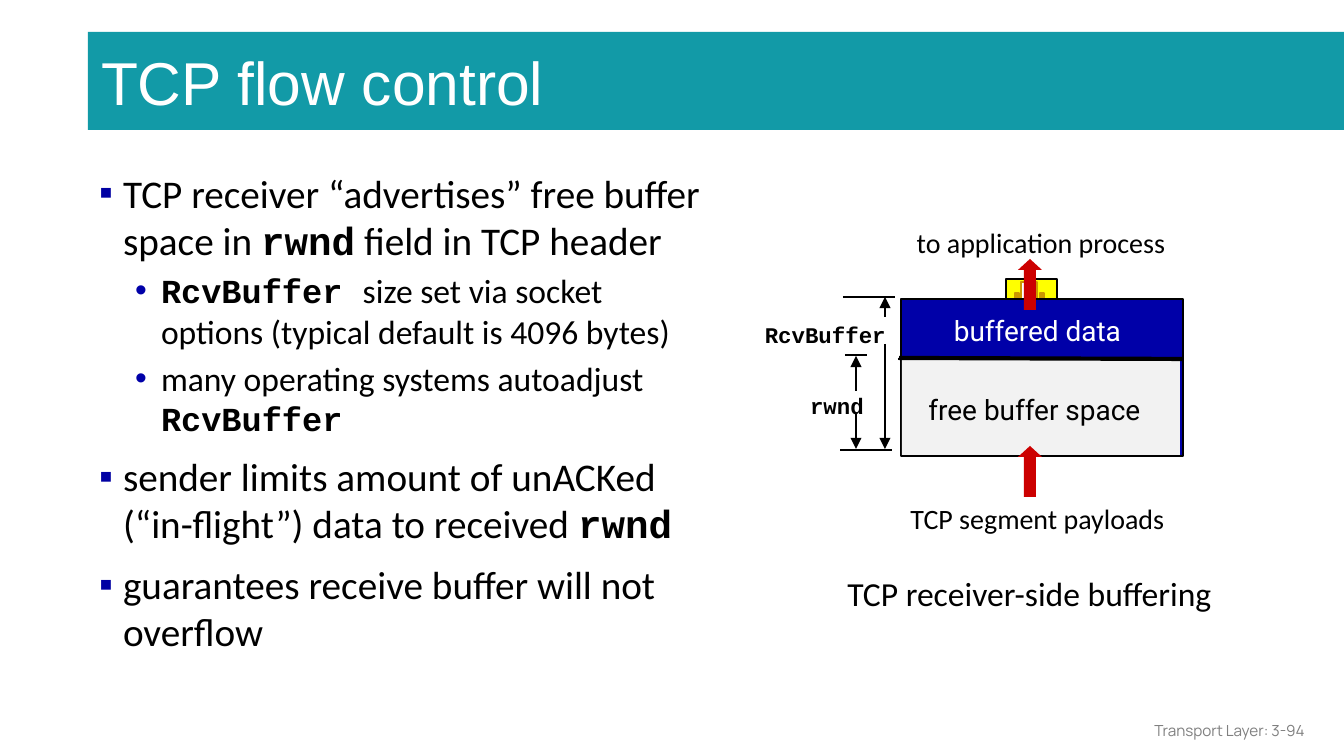
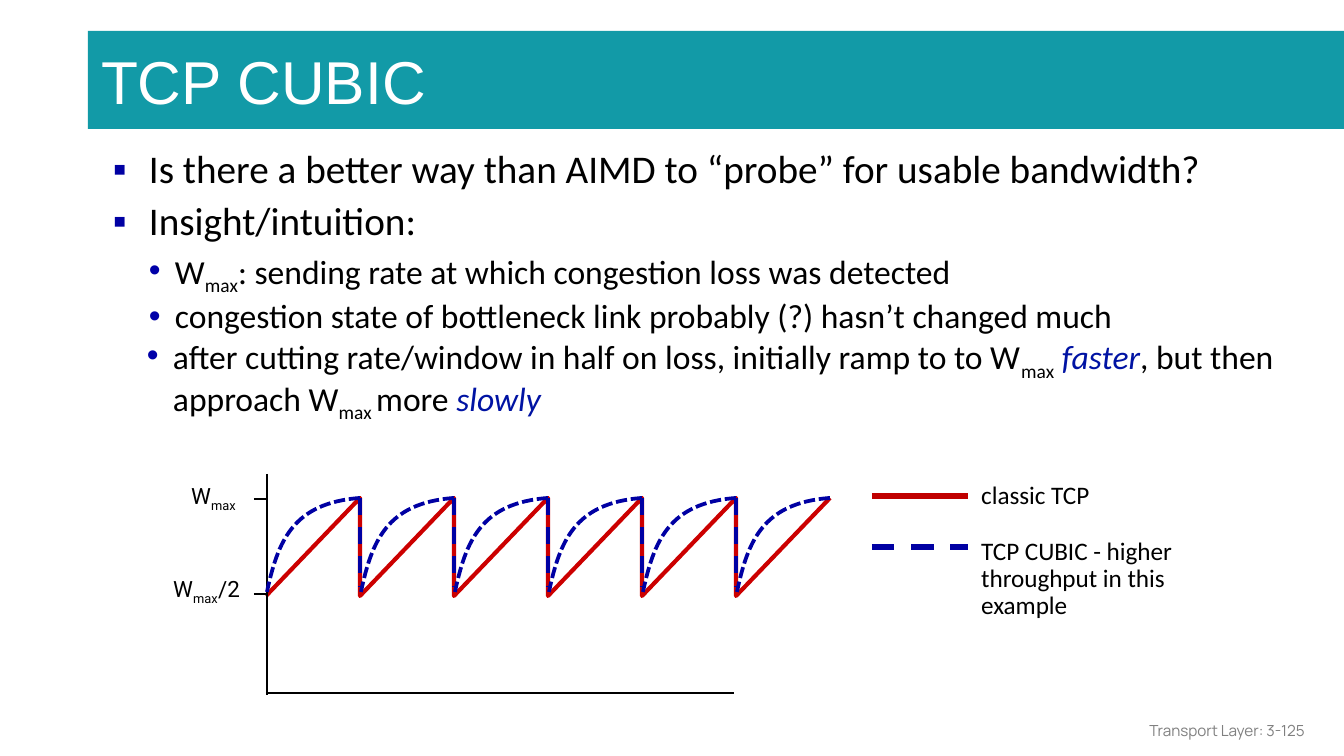
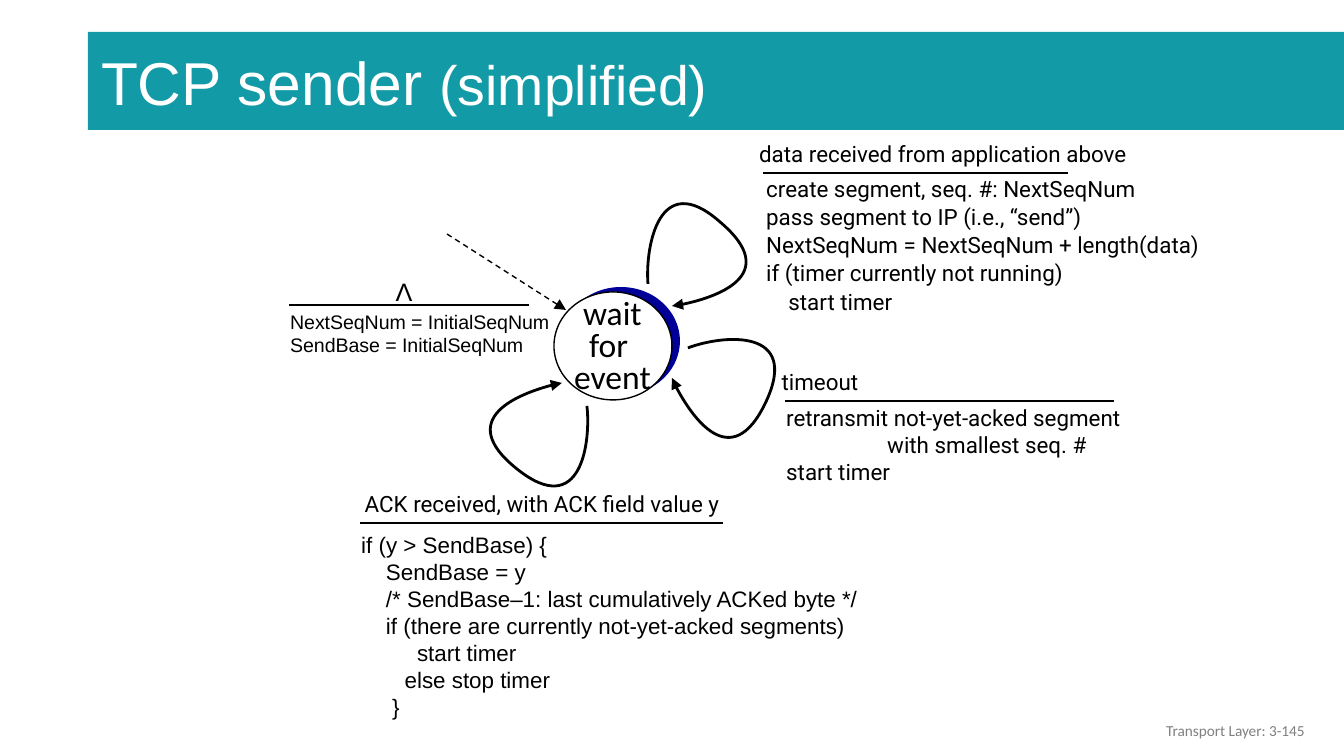
from dataclasses import dataclass, replace
from typing import NamedTuple, Optional

from lxml import etree
from pptx import Presentation
from pptx import util as u
from pptx.dml.color import RGBColor
from pptx.enum import dml, shapes, text
from pptx.oxml import ns

EMU_PER_PX = 914400 / 134.4

TEAL = RGBColor(0x12, 0x9A, 0xA7)
WHITE = RGBColor(0xFF, 0xFF, 0xFF)
BLACK = RGBColor(0x00, 0x00, 0x00)
GRAY = RGBColor(0x80, 0x80, 0x80)
PALE_GRAY = RGBColor(0xF2, 0xF2, 0xF2)
NAVY = RGBColor(0x00, 0x00, 0xA3)
BUFFER_BLUE = RGBColor(0x00, 0x00, 0xA8)
SHADE_BLUE = RGBColor(0x00, 0x00, 0x99)
EMPHASIS_BLUE = RGBColor(0x00, 0x13, 0xA3)
RED = RGBColor(0xCC, 0x00, 0x00)
LEGEND_RED = RGBColor(0xC0, 0x00, 0x00)
YELLOW = RGBColor(0xFF, 0xFF, 0x00)
GOLD = RGBColor(0xCC, 0x99, 0x00)

LEFT, CENTER, RIGHT = text.PP_ALIGN.LEFT, text.PP_ALIGN.CENTER, text.PP_ALIGN.RIGHT
DASH = dml.MSO_LINE.DASH
SHORT_DASH = dml.MSO_LINE.SQUARE_DOT
RECT = shapes.MSO_SHAPE.RECTANGLE
OVAL = shapes.MSO_SHAPE.OVAL
UP_ARROW = shapes.MSO_SHAPE.UP_ARROW


@dataclass(frozen=True)
class Style:
    font: str
    size: float
    color: RGBColor = BLACK
    bold: bool = False
    italic: bool = False
    subscript: bool = False


TITLE = Style("Arial", 32.4, WHITE)
POINT = Style("Calibri", 21)
DETAIL = Style("Calibri", 18)
LABEL = Style("Calibri", 15)
LEGEND = Style("Calibri", 13.5)
BUFFER = Style("Roboto", 15)
EVENT = Style("Roboto", 12)
CODE = Style("Arial", 12)
MONO = Style("Courier New", 12, bold=True)
POINT_MONO = replace(MONO, size=21)
DETAIL_MONO = replace(MONO, size=18)
DETAIL_SUB = replace(DETAIL, subscript=True)
EMPHASIS = replace(DETAIL, color=EMPHASIS_BLUE, italic=True)


class Run(NamedTuple):
    text: str
    style: Style


class Bullet(NamedTuple):
    char: str
    color: RGBColor
    left: int
    hang: int
    level: int
    before: float


SQUARE = Bullet("▪", NAVY, 39, 24, 0, 7.5)
WIDE_SQUARE = SQUARE._replace(left=51, hang=36)
DOT = Bullet("•", BUFFER_BLUE, 77, 26, 1, 3.8)


class Para(NamedTuple):
    runs: list[Run]
    bullet: Optional[Bullet] = None
    indent: int = 0


class Box(NamedTuple):
    left: int
    top: int
    width: int
    height: int


class Pen(NamedTuple):
    color: RGBColor = BLACK
    width: float = 0.75
    dash: Optional[dml.MSO_LINE] = None
    head: bool = False
    tail: bool = False


class Figure(NamedTuple):
    kind: shapes.MSO_SHAPE
    box: Box
    fill: RGBColor
    edge: Optional[RGBColor] = None


class Stroke(NamedTuple):
    start: tuple[int, int]
    end: tuple[int, int]
    pen: Pen = Pen()


class Label(NamedTuple):
    box: Box
    paras: list[Para]
    align: text.PP_ALIGN = LEFT
    spacing: float = 1.0
    wrap: bool = False


MEDIUM = Pen(width=1.5)
HEAD = Pen(head=True)
TAIL = Pen(tail=True)


def px(length: int) -> u.Emu:
    return u.Emu(round(length * EMU_PER_PX))


def lines(style: Style, *texts: str) -> list[Para]:
    """One single-run paragraph per text."""
    return [Para([Run(line, style)]) for line in texts]


def write(frame, paras: list[Para], align=LEFT, spacing: float = 1.0) -> None:
    for index, para in enumerate(paras):
        p = frame.paragraphs[0] if index == 0 else frame.add_paragraph()
        props = p._p.get_or_add_pPr()
        if para.indent:
            props.set("marL", str(px(para.indent)))
        if para.bullet:
            mark = para.bullet
            p.level = mark.level
            props.set("marL", str(px(mark.left)))
            props.set("indent", str(-px(mark.hang)))
            tint = etree.SubElement(props, ns.qn("a:buClr"))
            etree.SubElement(tint, ns.qn("a:srgbClr"), val=str(mark.color))
            etree.SubElement(props, ns.qn("a:buFont"), typeface="Arial")
            etree.SubElement(props, ns.qn("a:buChar"), char=mark.char)
            p.space_before = u.Pt(mark.before if index else 0)
        p.alignment = align
        p.line_spacing = spacing
        for wording, style in para.runs:
            run = p.add_run()
            run.text = wording
            run.font.name = style.font
            run.font.size = u.Pt(style.size)
            run.font.color.rgb = style.color
            run.font.bold = style.bold
            run.font.italic = style.italic
            if style.subscript:
                run._r.get_or_add_rPr().set("baseline", "-25000")


def set_margins(frame, side: int, end: int) -> None:
    frame.margin_left = frame.margin_right = px(side)
    frame.margin_top = frame.margin_bottom = px(end)


def add_label(slide, label: Label) -> None:
    frame = slide.shapes.add_textbox(*map(px, label.box)).text_frame
    frame.word_wrap = label.wrap
    frame.auto_size = text.MSO_AUTO_SIZE.SHAPE_TO_FIT_TEXT
    write(frame, label.paras, label.align, label.spacing)


def add_bullets(slide, box: Box, paras: list[Para], spacing: float = 1.0) -> None:
    frame = slide.shapes.add_textbox(*map(px, box)).text_frame
    frame.word_wrap = True
    set_margins(frame, 10, 5)
    write(frame, paras, spacing=spacing)


def add_figure(slide, figure: Figure):
    shape = slide.shapes.add_shape(figure.kind, *map(px, figure.box))
    shape.shadow.inherit = False
    shape.fill.solid()
    shape.fill.fore_color.rgb = figure.fill
    if figure.edge is None:
        shape.line.fill.background()
    else:
        shape.line.color.rgb = figure.edge
        shape.line.width = u.Pt(0.75)
    if figure.kind == UP_ARROW:
        shape.adjustments[1] = 0.46
    return shape


def apply_pen(line, pen: Pen) -> None:
    line.color.rgb = pen.color
    line.width = u.Pt(pen.width)
    if pen.dash is not None:
        line.dash_style = pen.dash
    for wanted, tag in ((pen.head, "a:headEnd"), (pen.tail, "a:tailEnd")):
        if wanted:
            etree.SubElement(line._get_or_add_ln(), ns.qn(tag), type="triangle")


def add_stroke(slide, stroke: Stroke) -> None:
    connector = slide.shapes.add_connector(
        shapes.MSO_CONNECTOR.STRAIGHT, *map(px, stroke.start + stroke.end))
    apply_pen(connector.line, stroke.pen)
    etree.SubElement(connector._element.spPr, ns.qn("a:effectLst"))


def add_outline(slide, points: list[tuple[int, int]], pen: Pen):
    vertices = [(px(x), px(y)) for x, y in points]
    builder = slide.shapes.build_freeform(*vertices[0])
    builder.add_line_segments(vertices[1:], close=False)
    outline = builder.convert_to_shape()
    outline.shadow.inherit = False
    outline.fill.background()
    apply_pen(outline.line, pen)
    return outline


def add_curve(slide, knots: list[tuple[int, int]], pen: Pen) -> None:
    """Joined cubic curves: a start, then two handles and an end per curve."""
    outline = add_outline(slide, knots, pen)
    segments = list(outline._element.iter(ns.qn("a:lnTo")))
    track = segments[0].getparent()
    for index, segment in enumerate(segments):
        if index % 3 == 0:
            cubic_segment = etree.SubElement(track, ns.qn("a:cubicBezTo"))
        cubic_segment.append(segment[0])
        track.remove(segment)


def draw(slide, parts: list) -> None:
    """Draw parts from back to front."""
    painters = {Figure: add_figure, Stroke: add_stroke, Label: add_label}
    for part in parts:
        painters[type(part)](slide, part)


def start_slide(prs, title: list[Run], number: str, band_top: int = 32,
                footer_font: str = "Manrope"):
    """Add a blank slide with its title band and footer."""
    slide = prs.slides.add_slide(prs.slide_layouts[6])
    band = add_figure(slide, Figure(RECT, Box(88, band_top, 1256, 98), TEAL)).text_frame
    band.word_wrap = True
    band.vertical_anchor = text.MSO_ANCHOR.MIDDLE
    set_margins(band, 13, 13)
    write(band, [Para(title)])
    footer = slide.shapes.add_textbox(*map(px, Box(1016, 710, 302, 40))).text_frame
    footer.word_wrap = True
    footer.vertical_anchor = text.MSO_ANCHOR.MIDDLE
    write(footer, lines(Style(footer_font, 8.2, GRAY), f"Transport Layer: {number}"), RIGHT)
    return slide


def flow_control(prs) -> None:
    slide = start_slide(prs, [Run("TCP flow control", TITLE)], "3-94")
    add_bullets(slide, Box(74, 164, 642, 540), [
        Para([Run("TCP receiver “advertises” free buffer space in ", POINT),
              Run("rwnd", POINT_MONO), Run(" field in TCP header", POINT)], SQUARE),
        Para([Run("RcvBuffer ", DETAIL_MONO),
              Run("size set via socket options (typical default is 4096 bytes)", DETAIL)], DOT),
        Para([Run("many operating systems autoadjust ", DETAIL),
              Run("RcvBuffer", DETAIL_MONO)], DOT),
        Para([Run("sender limits amount of unACKed (“in-flight”) data to received ", POINT),
              Run("rwnd", POINT_MONO)], SQUARE),
        Para([Run("guarantees receive buffer will not overflow", POINT)], SQUARE),
    ])
    draw(slide, [
        Figure(RECT, Box(1006, 279, 51, 23), YELLOW, BLACK),
        Figure(RECT, Box(1021, 282, 16, 17), WHITE, GOLD),
        *(Figure(RECT, Box(x, 293, 4, 7), GOLD, GOLD) for x in (1040, 1015)),
        Figure(RECT, Box(901, 299, 282, 157), BUFFER_BLUE, BLACK),
        Stroke((898, 359), (1181, 359)),
        Figure(UP_ARROW, Box(1018, 259, 24, 51), RED),
        Figure(RECT, Box(902, 358, 278, 97), PALE_GRAY),
        Figure(UP_ARROW, Box(1018, 446, 24, 51), RED),
        Label(Box(940, 307, 195, 47),
              lines(replace(BUFFER, color=WHITE), "buffered data"), CENTER),
        Stroke((899, 358), (1183, 359), Pen(width=2.25)),
        Label(Box(915, 386, 239, 47), lines(BUFFER, "free buffer space"), CENTER),
        Label(Box(796, 386, 82, 40), lines(MONO, "rwnd"), CENTER),
        Stroke((856, 356), (856, 391), HEAD),
        Stroke((856, 449), (856, 414), HEAD),
        Stroke((840, 450), (892, 450), MEDIUM),
        Stroke((845, 355), (867, 355), MEDIUM),
        Stroke((843, 297), (895, 297), MEDIUM),
        Stroke((885, 297), (885, 317), HEAD),
        Stroke((885, 344), (885, 449), TAIL),
        Label(Box(748, 315, 151, 40), lines(MONO, "RcvBuffer"), RIGHT),
        Label(Box(895, 495, 285, 47), lines(LABEL, "TCP segment payloads"), CENTER),
        Label(Box(901, 219, 280, 47), lines(LABEL, "to application process"), CENTER),
        Label(Box(829, 566, 401, 54), lines(DETAIL, "TCP receiver-side buffering"), CENTER),
    ])


def cubic(prs) -> None:
    slide = start_slide(prs, [Run("TCP CUBIC", TITLE)], "3-125", band_top=31)
    add_bullets(slide, Box(88, 145, 1231, 512), [
        Para([Run("Is there a better way than AIMD to “probe” for usable bandwidth?", POINT)],
             WIDE_SQUARE)], 0.9)

    origin, period, rounds, peak, trough = 266, 94, 6, 498, 596
    peaks = [origin + period * n for n in range(1, rounds + 1)]
    classic = [(x, y) for right in peaks for x, y in ((right - period, trough), (right, peak))]
    add_outline(slide, classic, Pen(RED, 2.25))
    w, w_max = Run("W", EVENT), Run("max", replace(EVENT, subscript=True))
    draw(slide, [
        Stroke((origin, 693), (734, 693), MEDIUM),
        Stroke((267, 474), (267, 695), MEDIUM),
        *(Stroke((254, y), (origin, y), MEDIUM) for y in (499, 594)),
        Label(Box(178, 476, 77, 40), [Para([w, w_max])]),
        Label(Box(160, 569, 97, 40), [Para([w, w_max, Run("/2", EVENT)])]),
    ])
    for right in peaks:
        add_curve(slide, [(right, peak), (right - 67, peak + 5), (right - 82, peak + 43),
                          (right - 93, peak + 94)], Pen(NAVY, 2, SHORT_DASH))
        if right != peaks[-1]:
            add_stroke(slide, Stroke((right, peak), (right, peak + 88), Pen(NAVY, 2.25, DASH)))
    draw(slide, [
        Stroke((872, 496), (968, 496), Pen(LEGEND_RED, 3)),
        Stroke((872, 547), (968, 547), Pen(NAVY, 3, DASH)),
        Label(Box(968, 473, 137, 44), lines(LEGEND, "classic TCP")),
        Label(Box(968, 532, 241, 95),
              lines(LEGEND, "TCP CUBIC - higher throughput in this example"),
              spacing=0.9, wrap=True),
    ])
    add_bullets(slide, Box(88, 197, 1231, 512), [
        Para([Run("Insight/intuition:", POINT)], WIDE_SQUARE),
        Para([Run("W", DETAIL), Run("max", DETAIL_SUB),
              Run(": sending rate at which congestion loss was detected", DETAIL)], DOT),
        Para([Run("congestion state of bottleneck link probably (?) hasn’t changed much",
                  DETAIL)], DOT)], 0.9)
    add_bullets(slide, Box(86, 332, 1231, 99), [
        Para([Run("after cutting rate/window in half on loss, initially ramp to to W", DETAIL),
              Run("max", DETAIL_SUB), Run(" faster", EMPHASIS),
              Run(", but then approach W", DETAIL), Run("max ", DETAIL_SUB),
              Run("more ", DETAIL), Run("slowly", EMPHASIS)], DOT)], 0.9)


def sender(prs) -> None:
    slide = start_slide(prs, [Run("TCP sender ", TITLE),
                              Run("(simplified)", replace(TITLE, size=29.7))],
                        "3-145", footer_font="Calibri")
    draw(slide, [
        Figure(OVAL, Box(562, 287, 118, 108), SHADE_BLUE),
        Figure(OVAL, Box(554, 292, 118, 108), WHITE, BLACK),
        Label(Box(560, 293, 105, 112), lines(DETAIL, "wait", "for ", "event"), CENTER, 0.8),
        Stroke((447, 234), (566, 310), Pen(dash=DASH, tail=True)),
        Label(Box(277, 303, 292, 60),
              lines(Style("Arial", 10.5),
                    "NextSeqNum = InitialSeqNum", "SendBase = InitialSeqNum")),
        Stroke((289, 305), (529, 305)),
        Label(Box(382, 270, 44, 44), lines(Style("Arial", 13.5), "Λ"), CENTER),
        Label(Box(773, 398, 363, 122), [
            Para([Run("retransmit not-yet-acked segment", EVENT)]),
            Para([Run("with smallest seq. #", EVENT)], indent=101),
            Para([Run("start timer", EVENT)])], wrap=True),
        Label(Box(767, 362, 106, 40), lines(EVENT, "timeout"), CENTER),
        Stroke((785, 401), (1114, 401)),
        Label(Box(348, 525, 530, 203), lines(
            CODE,
            "if (y > SendBase) {",
            "    SendBase = y",
            "    /* SendBase–1: last cumulatively ACKed byte */",
            "    if (there are currently not-yet-acked segments)",
            "         start timer",
            "       else stop timer",
            "     }")),
        Label(Box(347, 484, 396, 40),
              lines(EVENT, "ACK received, with ACK field value y "), CENTER),
        Stroke((360, 523), (723, 523)),
        Label(Box(753, 167, 478, 157), lines(
            EVENT,
            "create segment, seq. #: NextSeqNum",
            "pass segment to IP (i.e., “send”)",
            "NextSeqNum = NextSeqNum + length(data)",
            "if (timer currently not running)",
            "    start timer"), spacing=1.05),
        Label(Box(745, 134, 396, 40),
              lines(EVENT, "data received from application above"), CENTER),
        Stroke((763, 173), (1068, 173)),
    ])
    data_loop = [(648, 284), (645, 247), (659, 168), (720, 222),
                 (784, 276), (698, 304), (672, 306)]
    timeout_loop = [(688, 348), (722, 335), (801, 327), (766, 402),
                    (731, 476), (681, 402), (672, 378)]
    ack_loop = [(587, 406), (591, 441), (582, 521), (517, 469),
                (453, 418), (536, 387), (562, 383)]
    for loop in (data_loop, timeout_loop, ack_loop):
        add_curve(slide, loop, MEDIUM._replace(tail=True))


def main() -> None:
    prs = Presentation()
    prs.slide_width, prs.slide_height = px(1344), px(756)
    flow_control(prs)
    cubic(prs)
    sender(prs)
    prs.save("out.pptx")


if __name__ == "__main__":
    main()
